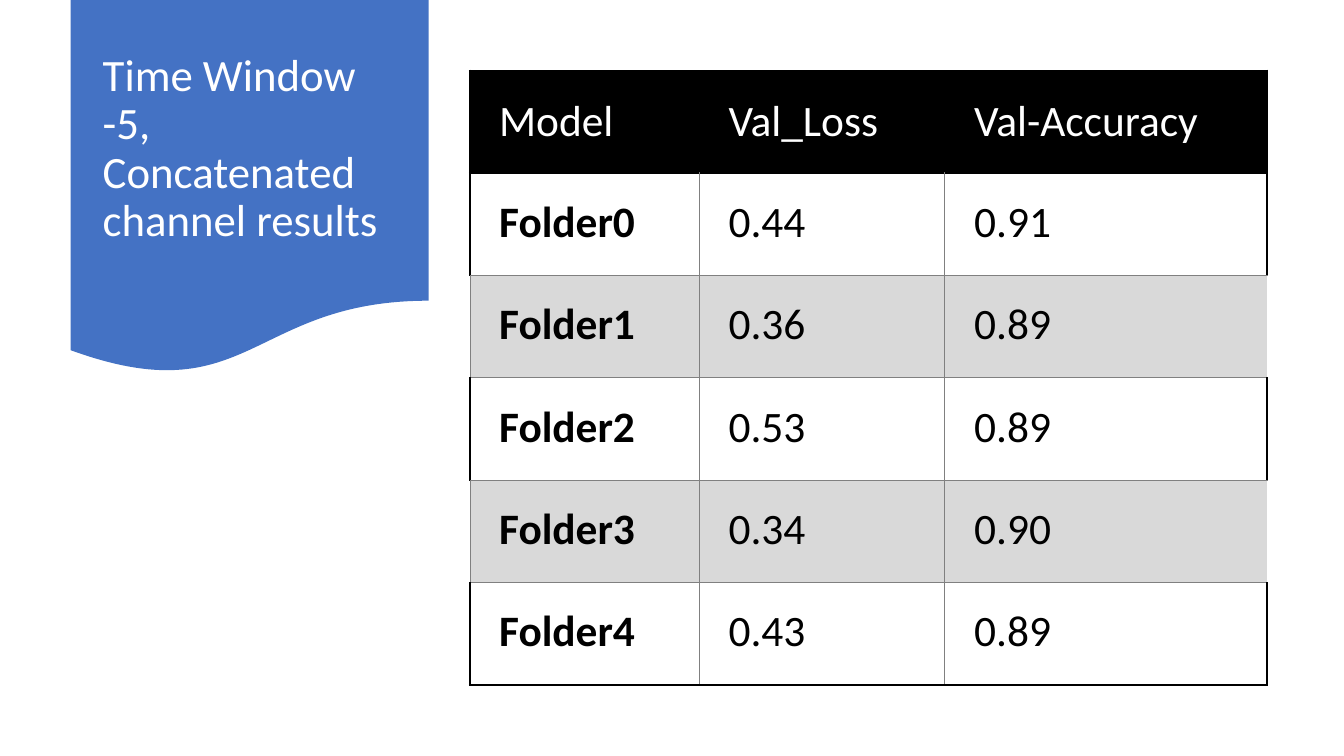
from lxml import etree
from pptx import Presentation
from pptx import util as u
from pptx.dml.color import RGBColor
from pptx.enum import shapes, text
from pptx.oxml import ns

TITLE = "Time Window -5, Concatenated channel results"
RESULTS = [
    ("Model", "Val_Loss", "Val-Accuracy"),
    ("Folder0", "0.44", "0.91"),
    ("Folder1", "0.36", "0.89"),
    ("Folder2", "0.53", "0.89"),
    ("Folder3", "0.34", "0.90"),
    ("Folder4", "0.43", "0.89"),
]
COLORS = {"banner": "4472C4", "white": "FFFFFF", "black": "000000",
          "band": "D9D9D9", "grid": "808080"}
FONT = "Calibri"
COLUMN_WIDTHS = (5.78, 6.19, 8.12)
ROW_HEIGHT = 2.58
PLAIN_TABLE_STYLE = "{2D5ABB26-0587-4C30-8999-92F81FD0307C}"
FRAME = ("black", 1.5)
GRID = ("grid", 0.5)


def color(name):
    return RGBColor.from_string(COLORS[name])


def style(para, size, name, bold=False):
    para.font.name = FONT
    para.font.size = u.Pt(size)
    para.font.bold = bold
    para.font.color.rgb = color(name)


def cell_borders(row, column):
    last_row, last_column = len(RESULTS) - 1, len(COLUMN_WIDTHS) - 1
    banded = row > 0 and row % 2 == 0
    borders = {}
    if column > 0:
        borders["lnL"] = GRID if row else None
    else:
        borders["lnL"] = GRID if banded else FRAME
    if column == last_column:
        borders["lnR"] = None if banded else FRAME
    elif row:
        borders["lnR"] = GRID
    if row == 0:
        borders["lnT"] = FRAME
    elif banded:
        borders["lnT"] = GRID
    if row in (0, last_row):
        borders["lnB"] = FRAME
    elif not banded:
        borders["lnB"] = GRID
    return {side: line for side, line in borders.items() if line}


def draw_borders(cell, borders):
    properties = cell._tc.get_or_add_tcPr()
    for index, (side, (name, width)) in enumerate(borders.items()):
        line = etree.Element(ns.qn(f"a:{side}"), w=str(int(u.Pt(width))))
        fill = etree.SubElement(line, ns.qn("a:solidFill"))
        etree.SubElement(fill, ns.qn("a:srgbClr"), val=COLORS[name])
        properties.insert(index, line)


def add_banner(page):
    banner = page.shapes.add_shape(shapes.MSO_SHAPE.FLOWCHART_DOCUMENT,
                                   u.Cm(1.78), 0, u.Cm(9.02), u.Cm(9.45))
    banner.shadow.inherit = False
    banner.fill.solid()
    banner.fill.fore_color.rgb = color("banner")
    banner.line.fill.background()

    box = page.shapes.add_textbox(u.Cm(2.34), u.Cm(0.48), u.Cm(7.9), u.Cm(6.58))
    frame = box.text_frame
    frame.word_wrap = True
    frame.vertical_anchor = text.MSO_ANCHOR.MIDDLE
    frame.text = TITLE
    para = frame.paragraphs[0]
    para.line_spacing = 0.9
    style(para, 32, "white")


def add_results(page):
    holder = page.shapes.add_table(
        len(RESULTS), len(COLUMN_WIDTHS), u.Cm(11.84), u.Cm(1.78),
        u.Cm(sum(COLUMN_WIDTHS)), u.Cm(ROW_HEIGHT * len(RESULTS)))
    table = holder.table
    table.first_row = table.horz_banding = False
    table._tbl.tblPr.find(ns.qn("a:tableStyleId")).text = PLAIN_TABLE_STYLE
    for column, width in zip(table.columns, COLUMN_WIDTHS):
        column.width = u.Cm(width)
    for row, values in enumerate(RESULTS):
        table.rows[row].height = u.Cm(ROW_HEIGHT)
        for column, value in enumerate(values):
            cell = table.cell(row, column)
            cell.text = value
            cell.margin_left, cell.margin_right = u.Cm(0.74), u.Cm(0.56)
            cell.margin_top = cell.margin_bottom = u.Cm(0.58)
            if row == 0:
                cell.vertical_anchor = text.MSO_ANCHOR.MIDDLE
            if row % 2 == 0:
                cell.fill.solid()
                cell.fill.fore_color.rgb = color("band" if row else "black")
            else:
                cell.fill.background()
            style(cell.text_frame.paragraphs[0], 31,
                  "black" if row else "white", row > 0 and column == 0)
            draw_borders(cell, cell_borders(row, column))


def main():
    deck = Presentation()
    deck.slide_width, deck.slide_height = u.Cm(33.87), u.Cm(19.05)
    page = deck.slides.add_slide(deck.slide_layouts[6])
    add_banner(page)
    add_results(page)
    deck.save("out.pptx")


if __name__ == "__main__":
    main()
